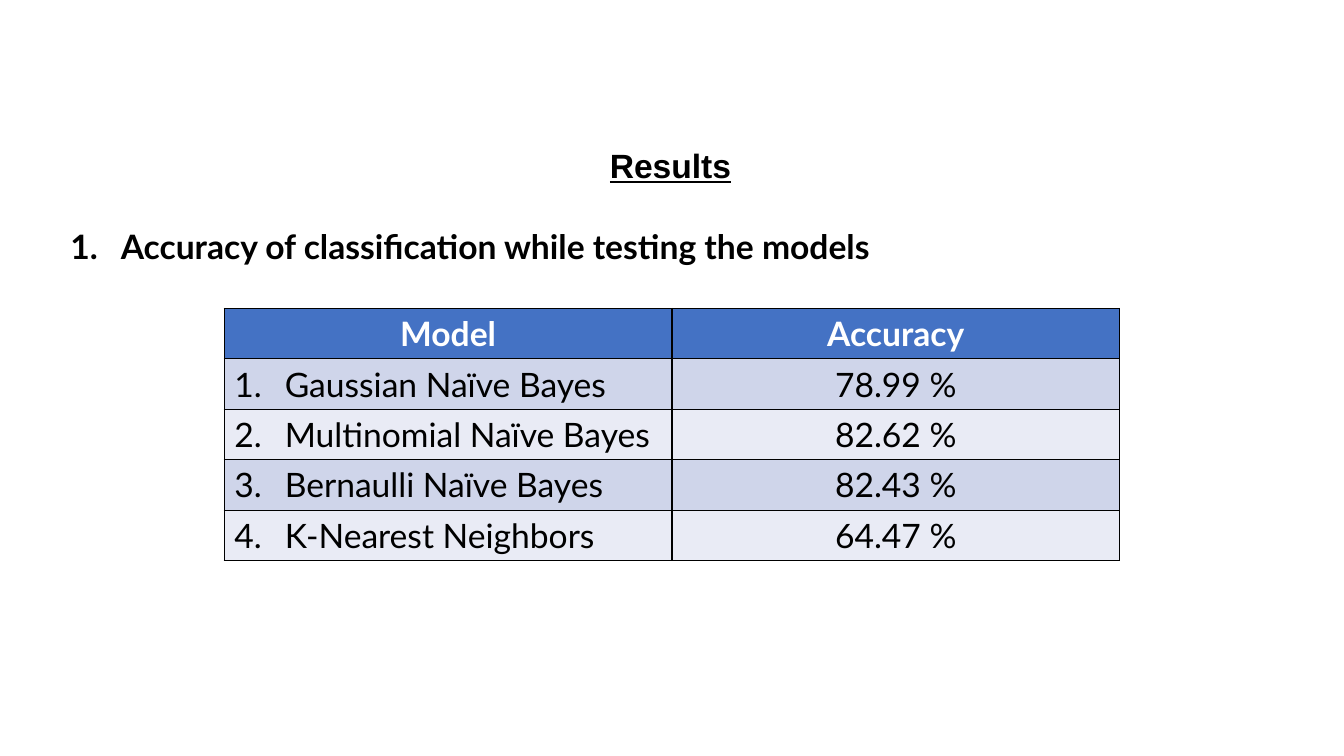
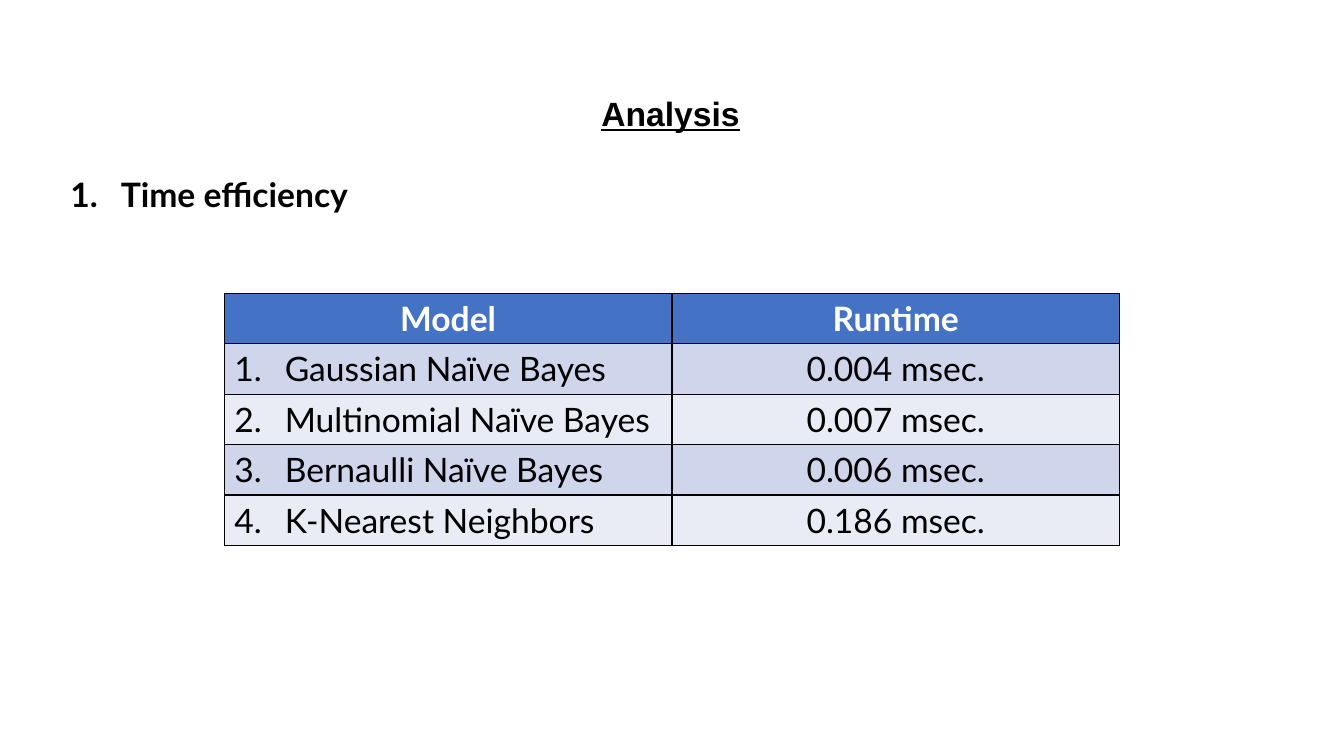
"""Builds two slides that compare classifiers by accuracy and by runtime."""
from dataclasses import dataclass

from lxml.etree import SubElement as Sub
from pptx import Presentation
from pptx.dml.color import RGBColor as Rgb
from pptx.enum.text import MSO_AUTO_SIZE as Fit, PP_ALIGN as Align
from pptx.oxml.ns import qn
from pptx.util import Inches, Pt

MODELS = ["Gaussian Naïve Bayes", "Multinomial Naïve Bayes",
          "Bernaulli Naïve Bayes", "K-Nearest Neighbors"]
SLIDES = [
    dict(title="Results", topic="Accuracy of classification while testing the models",
         label="Accuracy", top=1.39, grid=3.06,
         values=["78.99 %", "82.62 %", "82.43 %", "64.47 %"]),
    dict(title="Analysis", topic="Time efficiency",
         label="Runtime", top=0.87, grid=2.91,
         values=["0.004 msec.", "0.007 msec.", "0.006 msec.", "0.186 msec."]),
]


@dataclass(frozen=True)
class Theme:
    """Colours, fonts and sizes that the slides share."""
    ink: str = "000000"
    paper: str = "FFFFFF"
    head: str = "4472C4"
    bands: tuple = ("CFD5EA", "E9EBF5")
    title: str = "Arial"
    body: str = "Lato"
    size: int = 24
    gap: int = 29
    line: int = 1


THEME = Theme()
WIDTH, HEIGHT = 13.33, 7.5
COL, ROW = 4.44, 0.5


def style(para, face, color=THEME.ink, bold=False, under=False):
    """Set the font of a paragraph."""
    font = para.font
    font.name, font.size = face, Pt(THEME.size)
    font.bold, font.underline = bold, under
    font.color.rgb = Rgb.from_string(color)


def number(para, start=1, left=0.5):
    """Give a paragraph a hanging number."""
    props = para._p.get_or_add_pPr()
    props.set("marL", str(Inches(left)))
    props.set("indent", str(Inches(-0.5)))
    Sub(props, qn("a:buFont"), typeface="+mj-lt")
    Sub(props, qn("a:buAutoNum"), type="arabicPeriod", startAt=str(start))


def paint(cell, color):
    """Draw the borders of a cell, then fill it."""
    props = cell._tc.get_or_add_tcPr()
    for side in "LRTB":
        line = Sub(props, qn(f"a:ln{side}"), w=str(Pt(THEME.line)))
        Sub(Sub(line, qn("a:solidFill")), qn("a:srgbClr"), val=THEME.ink)
    cell.fill.solid()
    cell.fill.fore_color.rgb = Rgb.from_string(color)


def heading(slide, title, topic, top):
    """Add the title and the numbered topic."""
    box = slide.shapes.add_textbox(Inches(0.1), Inches(top), Inches(13.1), Inches(1.31))
    frame = box.text_frame
    frame.word_wrap, frame.auto_size = True, Fit.SHAPE_TO_FIT_TEXT
    para = frame.paragraphs[0]
    para.text, para.alignment = title, Align.CENTER
    style(para, THEME.title, bold=True, under=True)
    para = frame.add_paragraph()
    para.text, para.alignment, para.level = topic, Align.JUSTIFY, 1
    para.space_before = Pt(THEME.gap)
    number(para, left=1)
    style(para, THEME.body, bold=True)


def grid(slide, label, values, top):
    """Add the table of models and their values."""
    rows = [("Model", label), *zip(MODELS, values)]
    wide = 2 * COL
    table = slide.shapes.add_table(
        len(rows), 2, Inches((WIDTH - wide) / 2), Inches(top),
        Inches(wide), Inches(ROW * len(rows))).table
    for i, row in enumerate(rows):
        for j, text in enumerate(row):
            cell = table.cell(i, j)
            paint(cell, THEME.bands[(i - 1) % 2] if i else THEME.head)
            para = cell.text_frame.paragraphs[0]
            para.text = text
            if i and not j:
                number(para, i)
            else:
                para.alignment = Align.CENTER
            style(para, THEME.body, THEME.ink if i else THEME.paper, bold=not i)


def main():
    """Build and save the slides."""
    deck = Presentation()
    deck.slide_width, deck.slide_height = Inches(WIDTH), Inches(HEIGHT)
    for page in SLIDES:
        slide = deck.slides.add_slide(deck.slide_layouts[6])
        heading(slide, page["title"], page["topic"], page["top"])
        grid(slide, page["label"], page["values"], page["grid"])
    deck.save("out.pptx")


if __name__ == "__main__":
    main()
